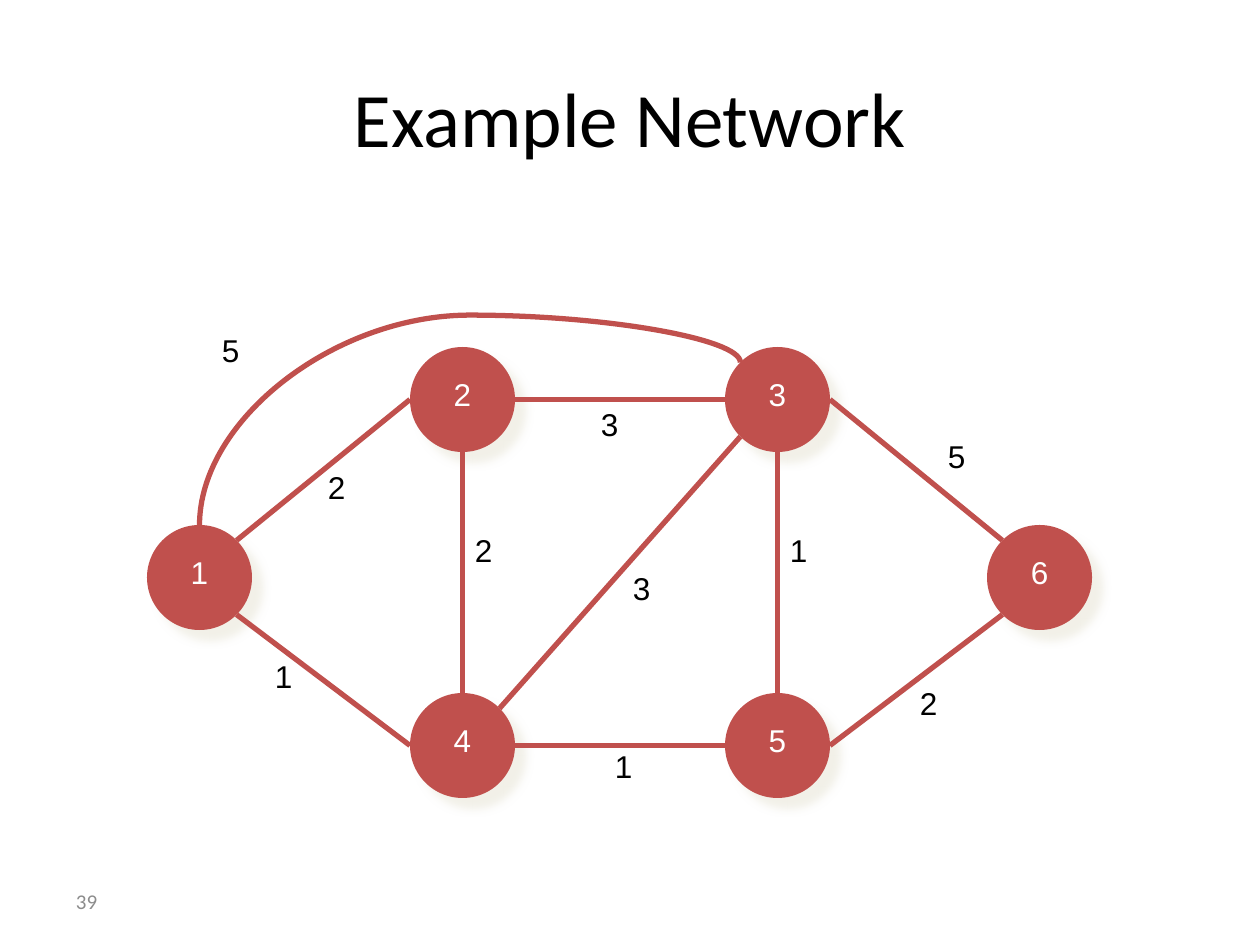
"""Build a slide that shows a six-node network with weighted links."""
from dataclasses import dataclass
from math import cos, radians, sin

from lxml import etree
from pptx import Presentation
from pptx.dml.color import RGBColor
from pptx.enum.shapes import MSO_CONNECTOR, MSO_SHAPE
from pptx.enum.text import MSO_ANCHOR, MSO_AUTO_SIZE, PP_ALIGN
from pptx.oxml.ns import qn
from pptx.util import Pt

STRAIGHT, CURVE = MSO_CONNECTOR.STRAIGHT, MSO_CONNECTOR.CURVE
OVAL = MSO_SHAPE.OVAL
MIDDLE, TOP = MSO_ANCHOR.MIDDLE, MSO_ANCHOR.TOP
LEFT, CENTER = PP_ALIGN.LEFT, PP_ALIGN.CENTER
FIT_SHAPE = MSO_AUTO_SIZE.SHAPE_TO_FIT_TEXT

TITLE = ("Example Network", (63, 38, 1134, 158))
NUMBER = ("39", (63, 876, 294, 50))
NODES = {
    "1": (147, 525), "2": (410, 347), "3": (725, 347),
    "4": (410, 693), "5": (725, 693), "6": (987, 525),
}
LINKS = [
    ("1", "NE", "2", "W", "2", (315, 462)),
    ("1", "SE", "4", "W", "1", (262, 651)),
    ("3", "W", "2", "E", "3", (588, 399)),
    ("5", "W", "4", "E", "1", (602, 741)),
    ("6", "SW", "5", "E", "2", (907, 678)),
    ("3", "E", "6", "NW", "5", (935, 431)),
    ("3", "SW", "4", "NE", "3", (620, 563)),
    ("2", "S", "4", "N", "2", (462, 525)),
    ("3", "S", "5", "N", "1", (777, 525)),
]
ARC = ("1", "N", "3", "NW", "5", (209, 325))
ARC_TOP = 315
ANGLES = {"E": 0, "SE": 45, "S": 90, "SW": 135, "W": 180, "NW": 225, "N": 270, "NE": 315}
NODE_SIZE = 105
LABEL_SIZE = (49, 88)
SLIDE_SIZE = (1260, 945)
EMU_PER_PX = 914400 / 126


@dataclass(frozen=True)
class Theme:
    accent: str = "C0504D"
    shadow: str = "EEECE1"
    ink: str = "000000"
    light: str = "FFFFFF"
    muted: str = "8C8C8C"
    heading_font: str = "Calibri"
    body_font: str = "Arial"
    title_size: int = 44
    body_size: int = 18
    number_size: int = 12
    line_width: int = 3


THEME = Theme()


def px(value):
    return round(value * EMU_PER_PX)


def emu(values):
    return [px(value) for value in values]


def write(shape, text, font, size, color, align=LEFT, anchor=MIDDLE, insets=(13, 6, 13, 6), wrap=True):
    frame = shape.text_frame
    frame.text = text
    frame.word_wrap = wrap
    frame.vertical_anchor = anchor
    frame.margin_left, frame.margin_top, frame.margin_right, frame.margin_bottom = emu(insets)
    para = frame.paragraphs[0]
    para.alignment = align
    span = para.runs[0].font
    span.name, span.size = font, Pt(size)
    span.color.rgb = RGBColor.from_string(color)
    return para


def add_effects(shape):
    return etree.SubElement(shape._element.spPr, qn("a:effectLst"))


def add_node(page, name, corner):
    node = page.shapes.add_shape(OVAL, *emu((*corner, NODE_SIZE, NODE_SIZE)))
    node.fill.solid()
    node.fill.fore_color.rgb = RGBColor.from_string(THEME.accent)
    node.line.fill.background()
    shadow = etree.SubElement(add_effects(node), qn("a:outerShdw"), blurRad=str(Pt(5)),
                              dist=str(Pt(8.5)), dir="2700000", algn="ctr", rotWithShape="0")
    color = etree.SubElement(shadow, qn("a:srgbClr"), val=THEME.shadow)
    etree.SubElement(color, qn("a:alpha"), val="75000")
    write(node, name, THEME.body_font, THEME.body_size, THEME.light, CENTER,
          insets=(13, 19, 13, 31), wrap=False)


def rim_point(name, side):
    radius, angle = NODE_SIZE / 2, radians(ANGLES[side])
    left, top = NODES[name]
    return left + radius * (1 + cos(angle)), top + radius * (1 + sin(angle))


def add_link(page, kind, start, end):
    link = page.shapes.add_connector(kind, *emu((*start, *end)))
    link.line.color.rgb = RGBColor.from_string(THEME.accent)
    link.line.width = Pt(THEME.line_width)
    add_effects(link)
    return link


def add_arc(page, start, end):
    width, height = end[0] - start[0], start[1] - end[1]
    left = (start[0] + end[0] - height) / 2
    top = (start[1] + end[1] - width) / 2
    arc = add_link(page, CURVE, (left, top), (left + height, top + width))
    properties = arc._element.spPr
    properties.find(qn("a:xfrm")).set("rot", "16200000")
    bend = round((start[1] - ARC_TOP) / height * 100000)
    guides = properties.find(qn("a:prstGeom")).find(qn("a:avLst"))
    etree.SubElement(guides, qn("a:gd"), name="adj1", fmla=f"val {bend}")


def add_weight(page, text, corner):
    box = page.shapes.add_textbox(*emu((*corner, *LABEL_SIZE)))
    para = write(box, text, THEME.body_font, THEME.body_size, THEME.ink,
                 anchor=TOP, insets=(13, 6, 13, 31), wrap=False)
    box.text_frame.auto_size = FIT_SHAPE
    spacing = etree.SubElement(para._p.get_or_add_pPr(), qn("a:spcBef"))
    etree.SubElement(spacing, qn("a:spcPct"), val="50000")


def main():
    deck = Presentation()
    deck.slide_width, deck.slide_height = emu(SLIDE_SIZE)
    page = deck.slides.add_slide(deck.slide_layouts[6])

    text, area = NUMBER
    write(page.shapes.add_textbox(*emu(area)), text, THEME.heading_font, THEME.number_size, THEME.muted)
    text, area = TITLE
    write(page.shapes.add_textbox(*emu(area)), text, THEME.heading_font, THEME.title_size, THEME.ink, CENTER)

    for name, corner in NODES.items():
        add_node(page, name, corner)
    for source, source_side, target, target_side, *_ in LINKS:
        add_link(page, STRAIGHT, rim_point(source, source_side), rim_point(target, target_side))
    add_arc(page, rim_point(*ARC[:2]), rim_point(*ARC[2:4]))
    for *_, weight, corner in [*LINKS, ARC]:
        add_weight(page, weight, corner)

    deck.save("out.pptx")


if __name__ == "__main__":
    main()
